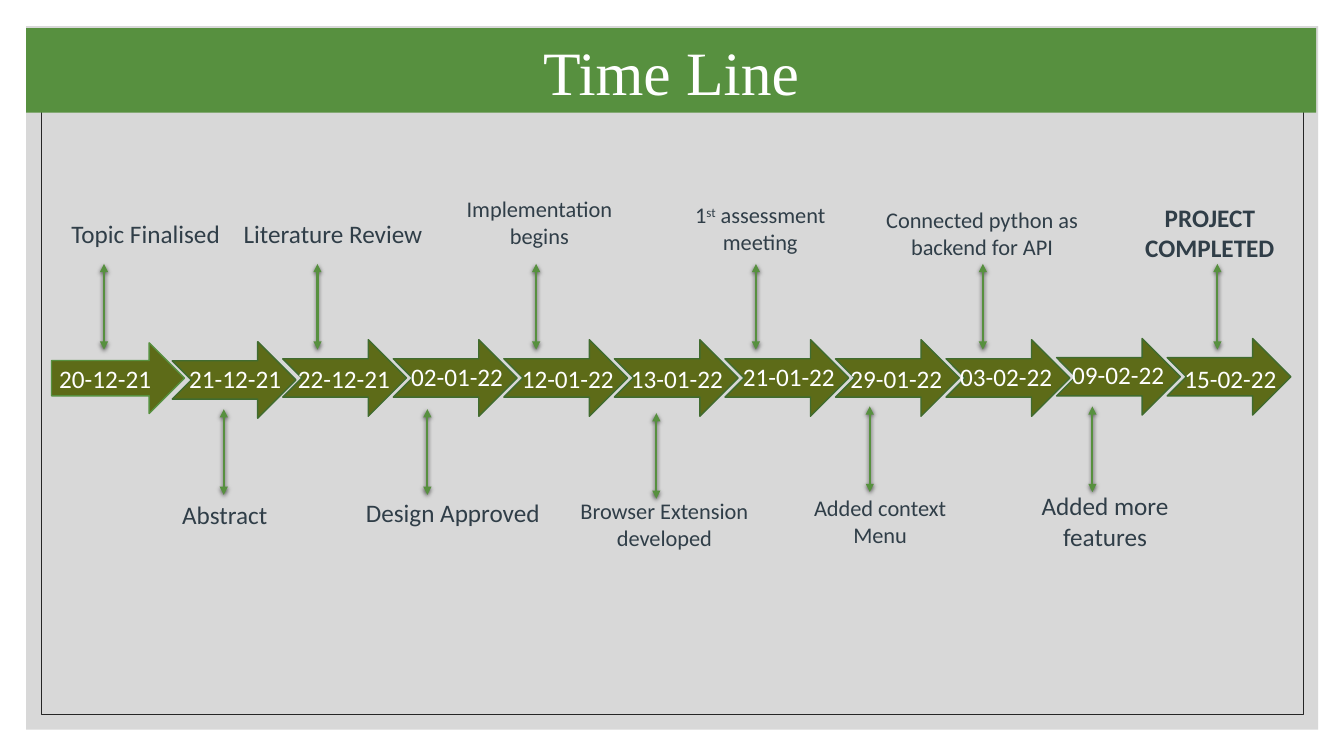
from dataclasses import dataclass

import lxml.etree
import pptx
import pptx.dml.color
import pptx.enum.shapes
import pptx.enum.text
import pptx.oxml
import pptx.oxml.ns
import pptx.util
from pptx.util import Cm

RGBColor = pptx.dml.color.RGBColor
Shape = pptx.enum.shapes.MSO_SHAPE
Align = pptx.enum.text.PP_ALIGN
qn = pptx.oxml.ns.qn

WHITE = RGBColor(0xFF, 0xFF, 0xFF)
GREY = RGBColor(0xBF, 0xBF, 0xBF)
BLACK = RGBColor(0x26, 0x26, 0x26)
GREEN = RGBColor(0x57, 0x90, 0x3F)
DARK_GREEN = RGBColor(0x40, 0x6B, 0x2F)
OLIVE = RGBColor(0x5D, 0x6B, 0x18)
SLATE = RGBColor(0x30, 0x3E, 0x48)

ARROW_LEFT, ARROW_PITCH = 4.34, 2.786
ARROW_WIDTH, ARROW_HEIGHT = 3.12, 1.93
LINK_LENGTH = 2.16
SHADOW = (
    f'<a:effectLst {pptx.oxml.ns.nsdecls("a")}>'
    '<a:outerShdw blurRad="38100" dist="12700" dir="5400000" rotWithShape="0">'
    '<a:srgbClr val="000000"><a:alpha val="63000"/></a:srgbClr>'
    '</a:outerShdw></a:effectLst>'
)


@dataclass
class Milestone:
    """One step of the project; lengths are centimetres, ^ encloses superscript."""
    date: str
    date_left: float
    date_top: float
    event: str
    event_left: float
    event_top: float
    event_width: float
    link_x: float
    link_top: float = 6.65
    size: int = 18
    centred: bool = True
    bold: bool = False
    arrow_top: float = 8.56


MILESTONES = [
    Milestone("20-12-21", 1.24, 9.02, "Topic Finalised", 1.55, 5.38, 4.34, 2.62, centred=False),
    Milestone("21-12-21", 4.52, 9.04, "Abstract", 4.34, 12.47, 2.67, 5.64, 10.31,
              centred=False, arrow_top=8.61),
    Milestone("22-12-21", 7.26, 9.02, "Literature Review", 5.89, 5.38, 5.66, 8, centred=False),
    Milestone("02-01-22", 10.11, 8.99, "Design Approved", 8.97, 12.4, 5.66, 10.77, 10.31,
              centred=False),
    Milestone("12-01-22", 12.9, 9.02, "Implementation\nbegins", 10.46, 4.8, 6.27, 13.51, size=16),
    Milestone("13-01-22", 15.65, 9.04, "Browser Extension developed", 14.27, 12.4, 4.95,
              16.54, 10.41, size=16),
    Milestone("21-01-22", 18.47, 8.99, "1^st^ assessment meeting", 16.33, 4.95, 5.66,
              19.05, size=16),
    Milestone("29-01-22", 21.18, 9.02, "Added context\nMenu", 19.35, 12.32, 5.66,
              21.92, 10.24, size=16),
    Milestone("03-02-22", 23.95, 8.99, "Connected python as backend for API", 21.92, 5.08, 5.66,
              24.77, size=16),
    Milestone("09-02-22", 26.77, 8.94, "Added more features", 25.02, 12.24, 5.66,
              27.53, 10.24, arrow_top=8.53),
    Milestone("15-02-22", 29.6, 9.04, "PROJECT COMPLETED", 27.66, 4.98, 5.66, 30.68,
              bold=True, arrow_top=8.53),
]


def write_text(frame, text: str, *, size: int, color: RGBColor, font: str = "Calibri",
               bold: bool = False, align=Align.LEFT) -> None:
    frame.word_wrap = True
    for index, line in enumerate(text.split("\n")):
        paragraph = frame.add_paragraph() if index else frame.paragraphs[0]
        paragraph.alignment = align
        for part, words in enumerate(line.split("^")):
            run = paragraph.add_run()
            run.text = words
            run.font.size = pptx.util.Pt(size)
            run.font.name = font
            run.font.bold = bold
            run.font.color.rgb = color
            if part % 2:
                run._r.get_or_add_rPr().set("baseline", "30000")


def add_block(slide, kind, left: float, top: float, width: float, height: float, *,
              fill: RGBColor | None = None, line: RGBColor | None = None,
              line_width: float = 1):
    block = slide.shapes.add_shape(kind, Cm(left), Cm(top), Cm(width), Cm(height))
    block.shadow.inherit = False
    if fill is None:
        block.fill.background()
    else:
        block.fill.solid()
        block.fill.fore_color.rgb = fill
    if line is None:
        block.line.fill.background()
    else:
        block.line.color.rgb = line
        block.line.width = pptx.util.Pt(line_width)
    return block


def add_backdrop(slide) -> None:
    panel = add_block(slide, Shape.RECTANGLE, 0.66, 0.66, 32.56, 17.73, fill=GREY)
    color = panel.element.spPr.find(qn("a:solidFill")).find(qn("a:srgbClr"))
    lxml.etree.SubElement(color, qn("a:alpha")).set("val", "60000")
    add_block(slide, Shape.RECTANGLE, 1.04, 1.04, 31.8, 16.97, line=BLACK, line_width=0.5)


def add_title(slide) -> None:
    title = slide.shapes.title
    title.left, title.top, title.width, title.height = Cm(0.66), Cm(0.71), Cm(32.51), Cm(2.13)
    title.fill.solid()
    title.fill.fore_color.rgb = GREEN
    title.text_frame.auto_size = pptx.enum.text.MSO_AUTO_SIZE.NONE
    title.text_frame.vertical_anchor = pptx.enum.text.MSO_ANCHOR.MIDDLE
    write_text(title.text_frame, "Time Line", size=44, color=WHITE,
               font="Times New Roman", align=Align.CENTER)
    # The banner lies over the backdrop
    title.element.getparent().append(title.element)


def add_label(slide, text: str, left: float, top: float, width: float, height: float,
              **text_format) -> None:
    label = slide.shapes.add_textbox(Cm(left), Cm(top), Cm(width), Cm(height))
    write_text(label.text_frame, text, **text_format)


def add_link(slide, x: float, top: float) -> None:
    """Draw the two-headed arrow between a date and its event."""
    link = slide.shapes.add_connector(pptx.enum.shapes.MSO_CONNECTOR.STRAIGHT,
                                      Cm(x), Cm(top), Cm(x), Cm(top + LINK_LENGTH))
    link.line.color.rgb = GREEN
    link.line.width = pptx.util.Pt(1.5)
    properties = link.element.spPr
    for end in ("a:headEnd", "a:tailEnd"):
        lxml.etree.SubElement(properties.find(qn("a:ln")), qn(end)).set("type", "triangle")
    properties.append(pptx.oxml.parse_xml(SHADOW))


def add_milestone(slide, step: Milestone) -> None:
    add_link(slide, step.link_x, step.link_top)
    add_label(slide, step.date, step.date_left, step.date_top, 3.18, 1.02, size=18, color=WHITE)
    height = 1.8 if step.centred else 1.02
    add_label(slide, step.event, step.event_left, step.event_top, step.event_width, height,
              size=step.size, color=SLATE, bold=step.bold,
              align=Align.CENTER if step.centred else Align.LEFT)


def main() -> None:
    deck = pptx.Presentation()
    deck.slide_width, deck.slide_height = Cm(33.87), Cm(19.05)
    slide = deck.slides.add_slide(deck.slide_layouts.get_by_name("Title Only"))
    add_backdrop(slide)
    add_title(slide)
    add_block(slide, Shape.RIGHT_ARROW, 1.3, 8.64, 3.35, 1.78, fill=OLIVE, line=GREEN)
    for index, step in enumerate(MILESTONES[1:]):
        add_block(slide, Shape.NOTCHED_RIGHT_ARROW, ARROW_LEFT + index * ARROW_PITCH,
                  step.arrow_top, ARROW_WIDTH, ARROW_HEIGHT, fill=OLIVE, line=DARK_GREEN)
    for step in MILESTONES:
        add_milestone(slide, step)
    deck.save("out.pptx")


if __name__ == "__main__":
    main()
